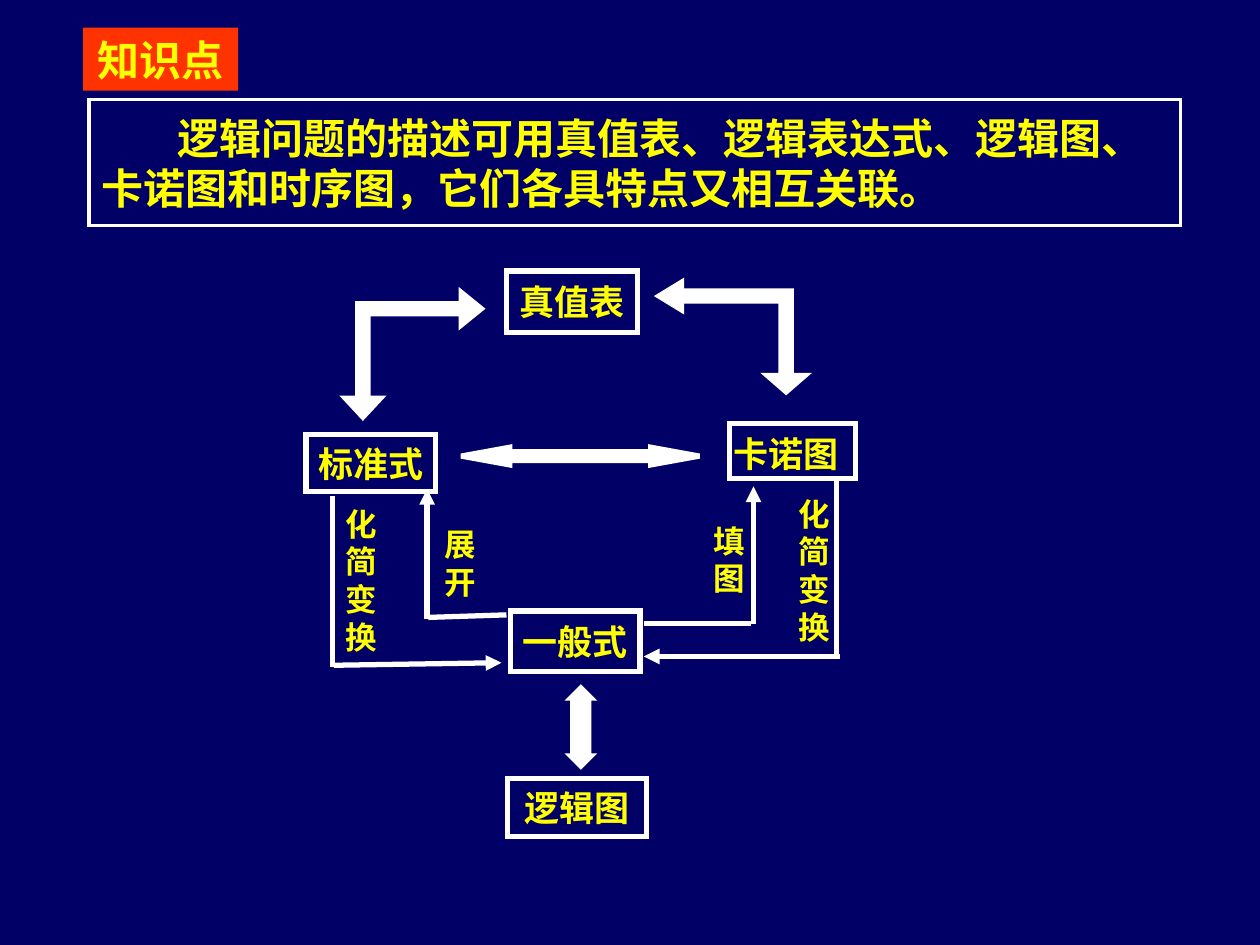
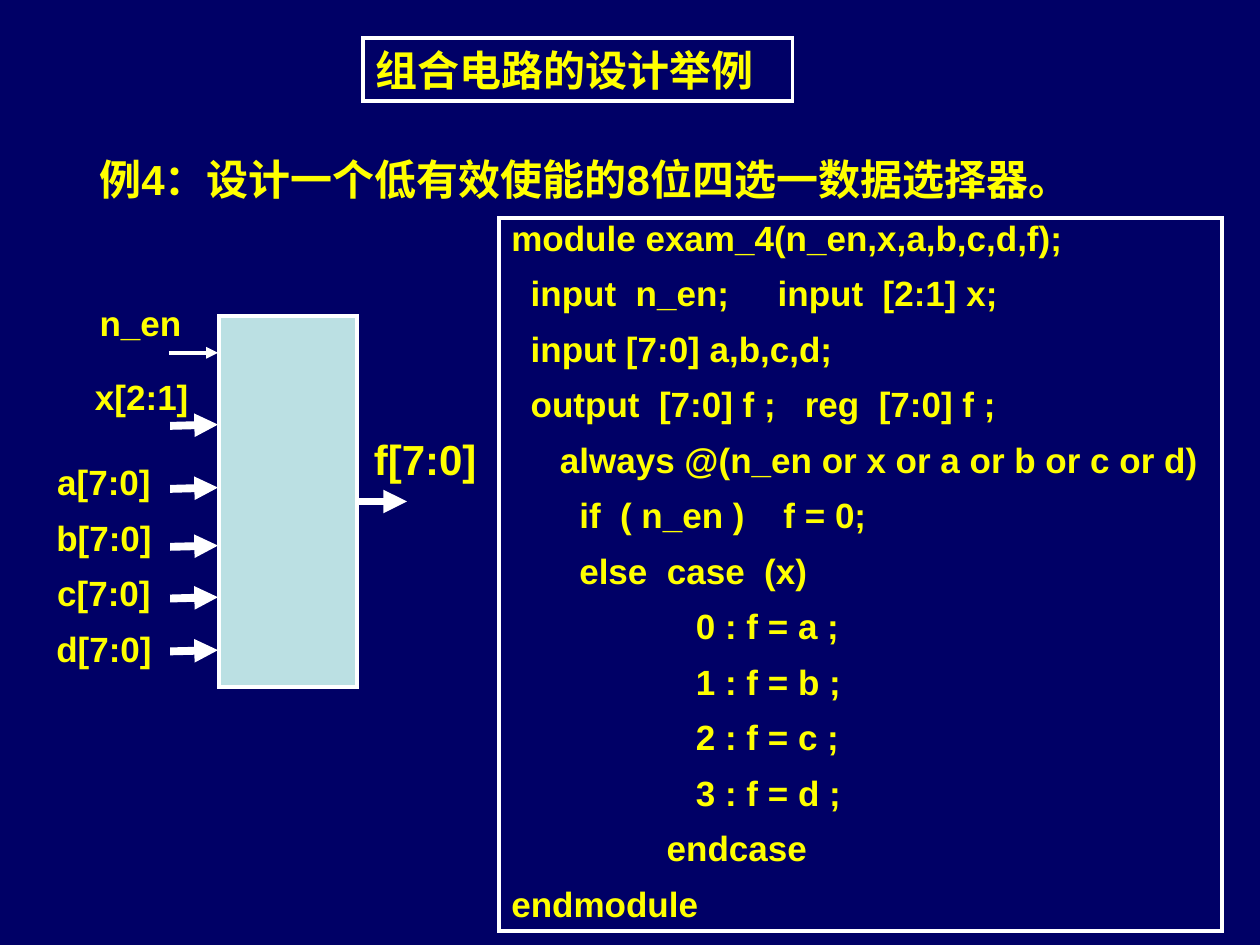
"""Build two lecture slides on describing logic and on a data selector."""
from dataclasses import dataclass
from typing import Optional

from lxml.etree import SubElement
from pptx import Presentation
from pptx.dml.color import RGBColor
from pptx.enum.shapes import MSO_CONNECTOR, MSO_SHAPE as SHAPE
from pptx.enum.text import MSO_ANCHOR as ANCHOR, MSO_AUTO_SIZE, PP_ALIGN as ALIGN
from pptx.oxml.ns import qn
from pptx.util import Inches, Pt

COLORS = {
    "background": "000066",
    "text": "FFFF00",
    "line": "FFFFFF",
    "badge": "FF3300",
    "chip": "BBE0E3",
}
SANS, SERIF = "Arial", "Times New Roman"
TITLE_ONLY = 5
PADDING = (0.1, 0.05, 0.1, 0.05)
NO_PADDING = (0, 0, 0, 0)


@dataclass
class Box:
    left: float
    top: float
    width: float
    height: float

    def lengths(self) -> tuple:
        return tuple(Inches(v) for v in (self.left, self.top, self.width, self.height))


@dataclass
class Label:
    text: str
    box: Box
    size: float = 20
    padding: tuple = NO_PADDING


@dataclass
class Wire:
    start: tuple
    end: tuple
    arrow: bool = True
    width: float = 3


@dataclass
class BentArrow:
    down_tip: tuple
    side_tip: tuple
    down_head: tuple
    side_head: tuple
    half_shaft: float = 0.04

    def points(self) -> list:
        (x, y), (side_x, side_y) = self.down_tip, self.side_tip
        (down_length, down_half), (side_length, side_half) = self.down_head, self.side_head
        sign = 1 if side_x > x else -1
        neck_y = y - down_length
        neck_x = side_x - sign * side_length
        shaft = self.half_shaft
        inner, outer = x + sign * shaft, x - sign * shaft
        return [
            (x, y), (x + sign * down_half, neck_y), (inner, neck_y),
            (inner, side_y + shaft), (neck_x, side_y + shaft),
            (neck_x, side_y + side_half), (side_x, side_y),
            (neck_x, side_y - side_half), (neck_x, side_y - shaft),
            (outer, side_y - shaft), (outer, neck_y), (x - sign * down_half, neck_y),
        ]


NODES = [
    Label("真值表", Box(4.02, 2.15, 1.04, 0.49)),
    Label("一般式", Box(4.05, 4.85, 1.03, 0.48)),
    Label("卡诺图", Box(5.79, 3.36, 1, 0.44), padding=(0, 0.04, 0.1, 0)),
    Label("标准式", Box(2.43, 3.45, 1.03, 0.45)),
    Label("逻辑图", Box(4.03, 6.18, 1.1, 0.46)),
]
STEPS = [
    Label("展开", Box(3.42, 4.17, 0.47, 0.59), 18),
    Label("化简变换", Box(2.71, 3.95, 0.32, 1.31), 18),
    Label("填图", Box(5.53, 4.08, 0.51, 0.72), 18),
    Label("化简变换", Box(6.3, 3.87, 0.32, 1.31), 18),
]
STEP_WIRES = [
    Wire((5.98, 4.95), (5.98, 3.86)),
    Wire((5.11, 4.95), (5.96, 4.95), arrow=False),
    Wire((6.67, 5.21), (5.11, 5.21)),
    Wire((6.64, 5.22), (6.64, 3.81), arrow=False),
    Wire((3.39, 4.91), (3.39, 3.88)),
    Wire((2.65, 5.28), (3.98, 5.26)),
    Wire((2.64, 5.29), (2.64, 3.94), arrow=False),
    Wire((3.4, 4.9), (4.02, 4.88), arrow=False),
]
BENT_ARROWS = [
    BentArrow((6.24, 3.11), (5.23, 2.35), (0.13, 0.15), (0.18, 0.11)),
    BentArrow((2.88, 3.31), (3.82, 2.45), (0.15, 0.14), (0.16, 0.13)),
]
PORTS = [
    Label("n_en", Box(0.53, 2.34, 1.17, 0.44), padding=PADDING),
    Label("x[2:1]", Box(0.53, 2.93, 1.19, 0.44), padding=PADDING),
    Label("a[7:0]\nb[7:0]\nc[7:0]\nd[7:0]", Box(0.33, 3.67, 0.99, 1.69), padding=PADDING),
    Label("f[7:0]", Box(2.86, 3.39, 1.03, 0.5), 24, PADDING),
]
BUS_HEIGHTS = [3.38, 3.88, 4.34, 4.75, 5.17]
CODE = """module exam_4(n_en,x,a,b,c,d,f);
  input  n_en;     input  [2:1] x;
  input [7:0] a,b,c,d;
  output  [7:0] f ;   reg  [7:0] f ;
     always @(n_en or x or a or b or c or d)
       if  ( n_en )    f = 0;
       else  case  (x)
                   0 : f = a ;
                   1 : f = b ;
                   2 : f = c ;
                   3 : f = d ;
                endcase
endmodule"""


def color(name: str) -> RGBColor:
    return RGBColor.from_string(COLORS[name])


def style(shape, fill: Optional[str] = None, line_width: float = 0) -> None:
    """Give a shape a flat fill and a white outline with sharp corners."""
    if fill:
        shape.fill.solid()
        shape.fill.fore_color.rgb = color(fill)
    else:
        shape.fill.background()
    if line_width:
        shape.line.color.rgb = color("line")
        shape.line.width = Pt(line_width)
        SubElement(shape.line._get_or_add_ln(), qn("a:miter"), lim="800000")
    else:
        shape.line.fill.background()


def write(shape, text: str, *, size: float = 20, font: str = SANS, align=ALIGN.CENTER,
          anchor=ANCHOR.TOP, padding: tuple = PADDING, wrap: bool = True,
          before: float = 0, spacing: Optional[float] = None, indent: float = 0) -> None:
    """Write one paragraph per line of text into a shape."""
    frame = shape.text_frame
    frame.auto_size = MSO_AUTO_SIZE.NONE
    frame.word_wrap = wrap
    frame.vertical_anchor = anchor
    (frame.margin_left, frame.margin_top,
     frame.margin_right, frame.margin_bottom) = (Inches(v) for v in padding)
    for index, line in enumerate(text.split("\n")):
        paragraph = frame.add_paragraph() if index else frame.paragraphs[0]
        paragraph.alignment = align
        paragraph.line_spacing = spacing
        paragraph.space_before = Pt(before if index else 0)
        if indent and not index:
            paragraph._p.get_or_add_pPr().set("indent", str(Inches(indent)))
        run = paragraph.add_run()
        run.text = line
        run.font.name = font
        run.font.size = Pt(size)
        run.font.bold = True
        run.font.color.rgb = color("text")


def add_shape(slide, box: Box, kind=SHAPE.RECTANGLE, fill: Optional[str] = None,
              line_width: float = 2.25):
    shape = slide.shapes.add_shape(kind, *box.lengths())
    shape.shadow.inherit = False
    style(shape, fill, line_width)
    return shape


def add_label(slide, label: Label, **text_format) -> None:
    text_box = slide.shapes.add_textbox(*label.box.lengths())
    write(text_box, label.text, size=label.size, padding=label.padding, **text_format)


def add_wire(slide, wire: Wire):
    connector = slide.shapes.add_connector(
        MSO_CONNECTOR.STRAIGHT, *(Inches(v) for v in wire.start + wire.end))
    connector.line.color.rgb = color("line")
    connector.line.width = Pt(wire.width)
    if wire.arrow:
        SubElement(connector.line._get_or_add_ln(), qn("a:tailEnd"), type="triangle")
    SubElement(connector._element.spPr, qn("a:effectLst"))
    return connector


def add_bent_arrow(slide, arrow: BentArrow) -> None:
    first, *others = [(Inches(x), Inches(y)) for x, y in arrow.points()]
    builder = slide.shapes.build_freeform(*first)
    builder.add_line_segments(others, close=True)
    shape = builder.convert_to_shape()
    shape.shadow.inherit = False
    style(shape, "line", 3)


def add_titled_slide(prs, text: str, box: Box, fill: Optional[str] = None,
                     line_width: float = 0, align=ALIGN.CENTER):
    slide = prs.slides.add_slide(prs.slide_layouts[TITLE_ONLY])
    title = slide.shapes.title
    title.left, title.top, title.width, title.height = box.lengths()
    style(title, fill, line_width)
    write(title, text, size=24, align=align)
    return slide


def build_description_slide(prs) -> None:
    slide = add_titled_slide(prs, "知识点", Box(0.66, 0.22, 1.23, 0.5), fill="badge")
    summary = add_shape(slide, Box(0.71, 0.79, 8.66, 1))
    write(summary, "逻辑问题的描述可用真值表、逻辑表达式、逻辑图、\n"
          "卡诺图和时序图，它们各具特点又相互关联。",
          size=24, font=SERIF, align=ALIGN.LEFT, anchor=ANCHOR.MIDDLE, indent=0.6)
    for node in NODES:
        write(add_shape(slide, node.box, line_width=3), node.text, size=node.size,
              font=SERIF, anchor=ANCHOR.MIDDLE, padding=node.padding)
    for kind, box, head in (
            (SHAPE.UP_DOWN_ARROW, Box(4.53, 5.46, 0.16, 0.62), 0.79),
            (SHAPE.LEFT_RIGHT_ARROW, Box(3.66, 3.55, 1.89, 0.14), 2.75)):
        arrow = add_shape(slide, box, kind, "line", 3)
        arrow.adjustments[0] = 0.5
        arrow.adjustments[1] = head
    for bent_arrow in BENT_ARROWS:
        add_bent_arrow(slide, bent_arrow)
    for wire in STEP_WIRES:
        add_wire(slide, wire)
    for step in STEPS:
        stacked = Label("\n".join(step.text), step.box, step.size)
        add_label(slide, stacked, font=SERIF, anchor=ANCHOR.MIDDLE, wrap=False)


def build_selector_slide(prs) -> None:
    slide = add_titled_slide(prs, "组合电路的设计举例", Box(2.88, 0.3, 3.41, 0.5),
                             line_width=2.25, align=ALIGN.LEFT)
    task = Label("例4：设计一个低有效使能的8位四选一数据选择器。",
                 Box(0.69, 1.17, 8.16, 0.5), 24, PADDING)
    add_label(slide, task, align=ALIGN.LEFT)
    chip = add_shape(slide, Box(1.74, 2.51, 1.09, 2.94), fill="chip")
    add_wire(slide, Wire((1.34, 2.8), (1.73, 2.8), width=2.25))
    for y in BUS_HEIGHTS:
        add_wire(slide, Wire((1.35, y), (1.73, y - 0.01), width=4.5))
    result = add_wire(slide, Wire((2.83, 3.98), (3.23, 3.98), width=4.5))
    result.begin_connect(chip, 3)
    for port in PORTS:
        add_label(slide, port, before=12.5, spacing=0.8 if "\n" in port.text else None)
    write(add_shape(slide, Box(3.96, 1.73, 5.74, 5.66)), CODE,
          align=ALIGN.LEFT, before=12.5, spacing=0.8)


def main() -> None:
    prs = Presentation()
    prs.slide_width, prs.slide_height = Inches(10), Inches(7.5)
    background = prs.slide_master.background.fill
    background.solid()
    background.fore_color.rgb = color("background")
    build_description_slide(prs)
    build_selector_slide(prs)
    prs.save("out.pptx")


if __name__ == "__main__":
    main()
